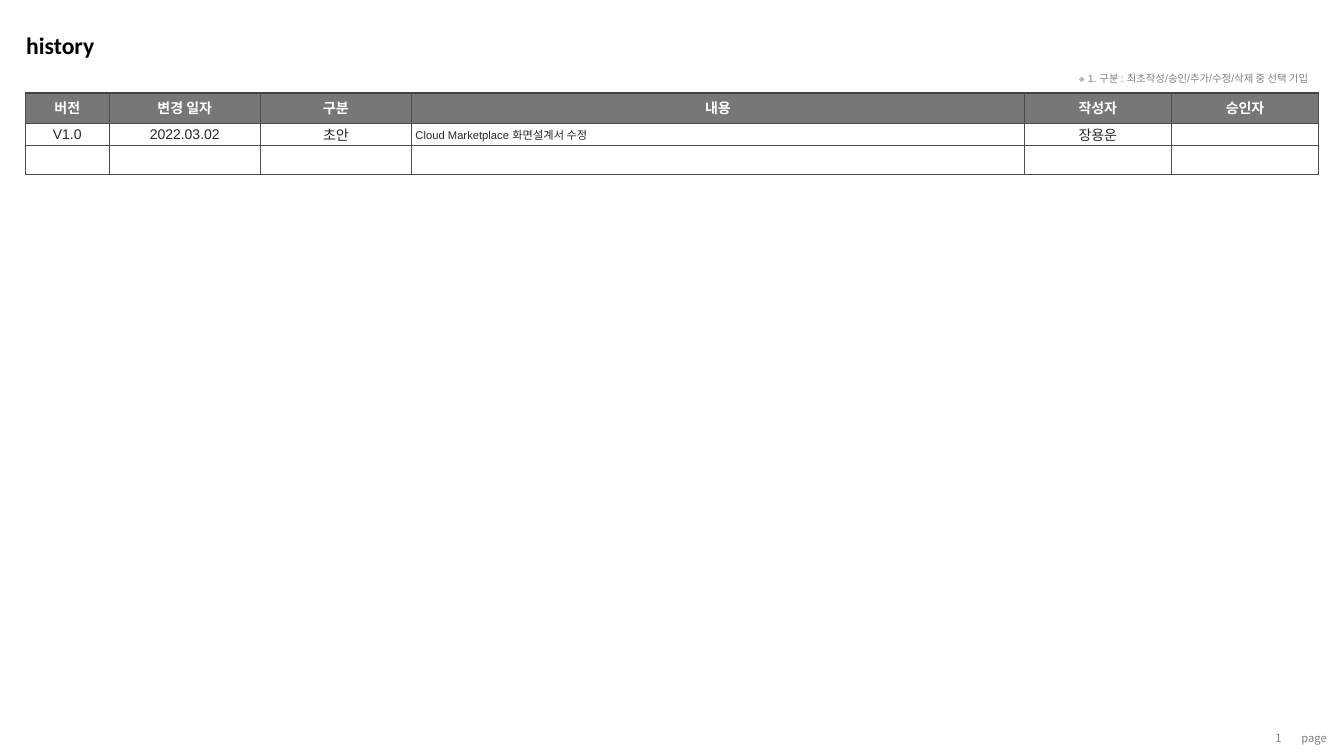
from lxml.etree import SubElement
from pptx import Presentation
from pptx.dml.color import RGBColor
from pptx.enum.text import MSO_ANCHOR as ANCHOR, MSO_AUTO_SIZE as AUTO, PP_ALIGN as ALIGN
from pptx.oxml.ns import qn
from pptx.util import Cm, Pt

BLACK = RGBColor(0x00, 0x00, 0x00)
WHITE = RGBColor(0xFF, 0xFF, 0xFF)
INK = RGBColor(0x26, 0x26, 0x26)
NOTE_GRAY = RGBColor(0x80, 0x80, 0x80)
PAGE_GRAY = RGBColor(0x7F, 0x7F, 0x7F)
HEADER_GRAY = RGBColor(0x77, 0x77, 0x77)
GRID = RGBColor(0x4C, 0x4C, 0x4C)
HEADER_TOP = RGBColor(0x40, 0x40, 0x40)
KOREAN_FONT = "Noto Sans CJK KR"

COLUMNS = [("버전", 2.11), ("변경 일자", 3.81), ("구분", 3.81),
           ("내용", 15.44), ("작성자", 3.71), ("승인자", 3.71)]
ROW_HEIGHTS = [0.76, 0.55, 0.73]
REVISIONS = [
    ["V1.0", "2022.03.02", "초안", "Cloud Marketplace 화면설계서 수정", "장용운", ""],
    [""] * len(COLUMNS),
]
CONTENT_COLUMN = 3


def write(tf, text, size=10, font="Arial", color=INK, bold=False,
          align=ALIGN.CENTER, before=0, spacing=None):
    p = tf.paragraphs[0]
    p.alignment = align
    p.space_before = Pt(before)
    if spacing:
        p.line_spacing = spacing
    if not text:
        SubElement(p._p, qn("a:endParaRPr"), sz=str(size * 100))
        return
    r = p.add_run()
    r.text = text
    r.font.size = Pt(size)
    r.font.name = font
    r.font.bold = bold
    r.font.color.rgb = color
    SubElement(r._r.get_or_add_rPr(), qn("a:ea"), typeface=KOREAN_FONT)


def set_margins(box, side, top, bottom):
    box.margin_left = box.margin_right = Cm(side)
    box.margin_top, box.margin_bottom = Cm(top), Cm(bottom)


def add_text(s, box, text, margins=(0.25, 0.13), anchor=ANCHOR.TOP,
             auto_size=AUTO.NONE, **fmt):
    tf = s.shapes.add_textbox(*map(Cm, box)).text_frame
    tf.word_wrap = True
    tf.auto_size = auto_size
    tf.vertical_anchor = anchor
    side, edge = margins
    set_margins(tf, side, edge, edge)
    write(tf, text, **fmt)


def set_borders(cell, top_color=GRID, top_width=0.25):
    tcPr = cell._tc.get_or_add_tcPr()
    for i, side in enumerate(("L", "R", "T", "B")):
        color, width = (top_color, top_width) if side == "T" else (GRID, 0.25)
        ln = tcPr.makeelement(qn(f"a:ln{side}"), {"w": str(int(Pt(width)))})
        fill = SubElement(ln, qn("a:solidFill"))
        SubElement(fill, qn("a:srgbClr"), val=str(color))
        tcPr.insert(i, ln)


def fill_cell(cell, color):
    cell.fill.solid()
    cell.fill.fore_color.rgb = color
    cell.vertical_anchor = ANCHOR.MIDDLE


def header_cell(cell, text):
    fill_cell(cell, HEADER_GRAY)
    set_margins(cell, 0.23, 0.1, 0.1)
    set_borders(cell, HEADER_TOP, 1.5)
    write(cell.text_frame, text, color=WHITE, bold=True, before=2)


def body_cell(cell, text, is_content):
    fill_cell(cell, WHITE)
    set_margins(cell, 0.1 if is_content else 0.03, 0.03, 0)
    set_borders(cell)
    write(cell.text_frame, text, size=8 if is_content else 10,
          align=ALIGN.LEFT if is_content else ALIGN.CENTER)


def history_table(s, left, top):
    width = sum(w for _, w in COLUMNS)
    table = s.shapes.add_table(len(ROW_HEIGHTS), len(COLUMNS), Cm(left), Cm(top),
                               Cm(width), Cm(sum(ROW_HEIGHTS))).table
    table.horz_banding = False
    for row, height in zip(table.rows, ROW_HEIGHTS):
        row.height = Cm(height)
    for c, (title, col_width) in enumerate(COLUMNS):
        table.columns[c].width = Cm(col_width)
        header_cell(table.cell(0, c), title)
        for r, revision in enumerate(REVISIONS, 1):
            body_cell(table.cell(r, c), revision[c], c == CONTENT_COLUMN)


def heading(s, left, top):
    add_text(s, (left, top, 12.83, 1.04), "history", margins=(0.28, 0.15),
             anchor=ANCHOR.MIDDLE, size=16.9, font="Calibri", color=BLACK,
             bold=True, align=ALIGN.LEFT, spacing=0.8)
    add_text(s, (left + 19.94, top + 1.01, 12.9, 0.58),
             "※ 1. 구분 : 최초작성/승인/추가/수정/삭제 중 선택 기입",
             auto_size=AUTO.SHAPE_TO_FIT_TEXT, size=7.4, color=NOTE_GRAY,
             align=ALIGN.RIGHT)


def footer(s, left, top):
    for i, text in enumerate(("1", "page")):
        add_text(s, (left + i * 1.14, top, 1.52, 0.58), text,
                 margins=(0.23, 0.13), anchor=ANCHOR.BOTTOM, size=8,
                 font=KOREAN_FONT, color=PAGE_GRAY, align=ALIGN.RIGHT)


def main():
    prs = Presentation()
    prs.slide_width, prs.slide_height = Cm(33.87), Cm(19.05)
    s = prs.slides.add_slide(prs.slide_layouts[6])
    footer(s, 31.01, 18.31)
    history_table(s, 0.64, 2.34)
    heading(s, 0.38, 0.69)
    prs.save("out.pptx")


if __name__ == "__main__":
    main()
